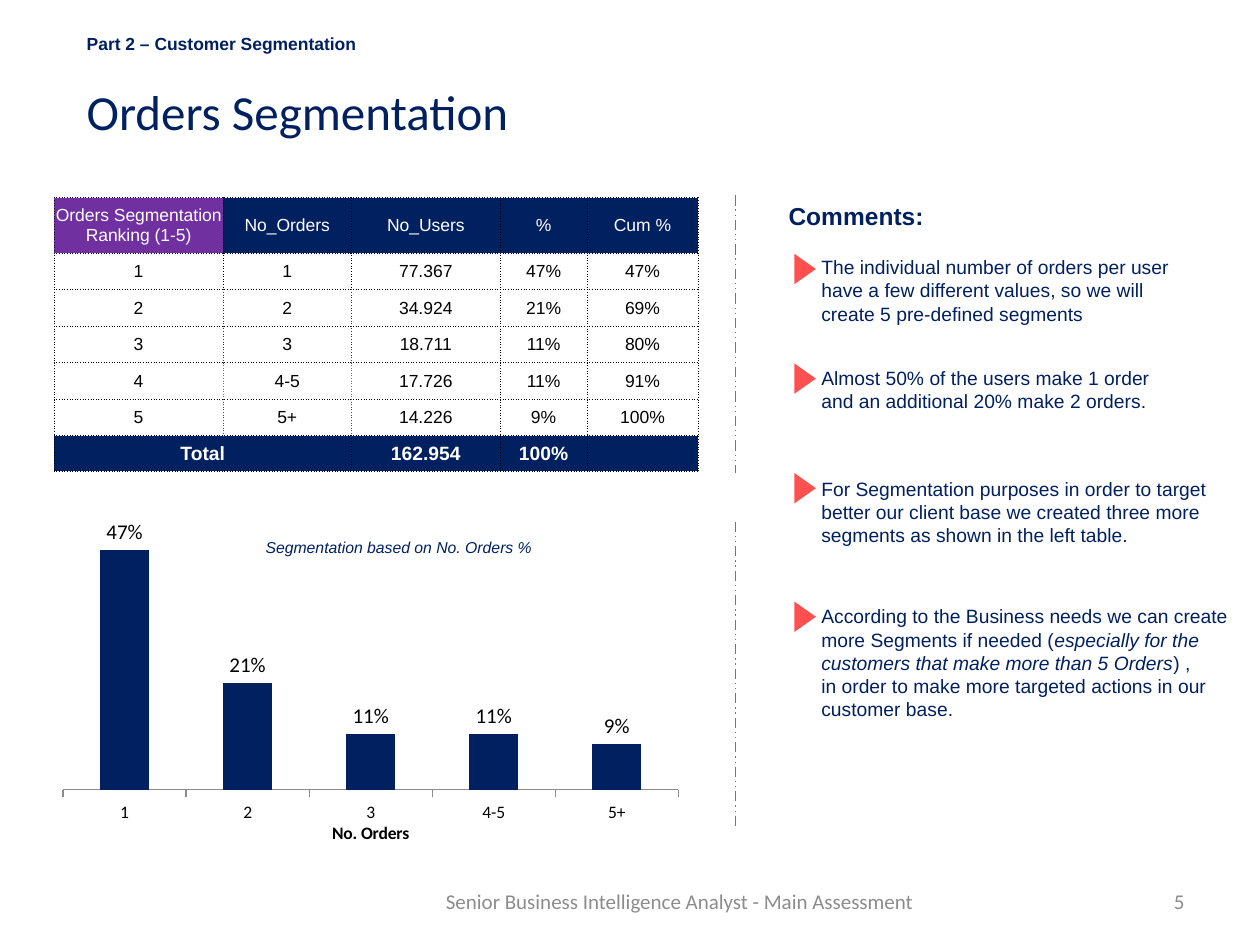
from lxml import etree
from pptx import Presentation
from pptx.chart.data import CategoryChartData
from pptx.dml.color import RGBColor
from pptx.enum.chart import XL_CHART_TYPE, XL_LABEL_POSITION, XL_TICK_LABEL_POSITION, XL_TICK_MARK
from pptx.enum.dml import MSO_LINE
from pptx.enum.shapes import MSO_CONNECTOR, MSO_SHAPE
from pptx.enum.text import MSO_ANCHOR, PP_ALIGN
from pptx.oxml import parse_xml
from pptx.oxml.ns import nsdecls, qn
from pptx.util import Pt

PX = 9144
NAVY = RGBColor(0x00, 0x20, 0x60)
PURPLE = RGBColor(0x70, 0x30, 0xA0)
CORAL = RGBColor(0xFF, 0x50, 0x50)
BLUE = RGBColor(0x4B, 0x7E, 0xBC)
GRAY = RGBColor(0x8C, 0x8C, 0x8C)
BLACK = RGBColor(0x00, 0x00, 0x00)
WHITE = RGBColor(0xFF, 0xFF, 0xFF)


def add_text(left, top, width, height, lines, size, font="Arial", color=NAVY, bold=False,
             italic=None, align=PP_ALIGN.LEFT, anchor=MSO_ANCHOR.TOP, wrap=True):
    box = page.shapes.add_textbox(left * PX, top * PX, width * PX, height * PX)
    frame = box.text_frame
    frame.word_wrap = wrap
    frame.vertical_anchor = anchor
    for index, line in enumerate(lines):
        para = frame.paragraphs[0] if index == 0 else frame.add_paragraph()
        para.alignment = align
        para.font.size = Pt(size)
        para.font.name = font
        para.font.color.rgb = color
        para.font.bold = bold
        para.font.italic = italic
        for number, part in enumerate(line):
            span = para.add_run()
            span.text = part
            if number % 2:
                span.font.italic = True


def add_border(cell, side, color):
    cell._tc.get_or_add_tcPr().append(parse_xml(
        f'<a:{side} {nsdecls("a")} w="6350"><a:solidFill><a:srgbClr val="{color}"/></a:solidFill>'
        f'<a:prstDash val="dot"/></a:{side}>'))


deck = Presentation()
deck.slide_width = 1000 * PX
deck.slide_height = 750 * PX
page = deck.slides.add_slide(deck.slide_layouts[6])

add_text(59, 21, 386, 27, [["Part 2 – Customer Segmentation"]], 10, bold=True)
add_text(59, 60, 827, 57, [["Orders Segmentation"]], 28, font="Calibri")

rows = [
    ["Orders Segmentation Ranking (1-5)", "No_Orders", "No_Users", "%", "Cum %"],
    ["1", "1", "77.367", "47%", "47%"],
    ["2", "2", "34.924", "21%", "69%"],
    ["3", "3", "18.711", "11%", "80%"],
    ["4", "4-5", "17.726", "11%", "91%"],
    ["5", "5+", "14.226", "9%", "100%"],
    ["Total", "", "162.954", "100%", ""],
]
last_row = len(rows) - 1
inner_colors = {2: "20401E", 3: "20421E", 4: "F0471E", 5: "604B1E"}
table = page.shapes.add_table(len(rows), 5, 43 * PX, 157 * PX, 512 * PX, 217 * PX).table
for column, width in zip(table.columns, [134, 102, 118, 69, 88]):
    column.width = width * PX
for row, height in zip(table.rows, [44] + [29] * 5 + [28]):
    row.height = height * PX

for row_index, row in enumerate(rows):
    inner = inner_colors.get(row_index, "000000")
    is_total = row_index == last_row
    is_dark = row_index == 0 or is_total
    for column_index, text in enumerate(row):
        cell = table.cell(row_index, column_index)
        cell.margin_left = cell.margin_right = cell.margin_top = cell.margin_bottom = 0
        cell.vertical_anchor = MSO_ANCHOR.MIDDLE
        add_border(cell, "lnL", inner if column_index in (1, 2) else "000000")
        add_border(cell, "lnR", inner if column_index in (0, 1) else "000000")
        add_border(cell, "lnT", "000000")
        add_border(cell, "lnB", "000000")
        if is_dark:
            cell.fill.solid()
            cell.fill.fore_color.rgb = PURPLE if row_index + column_index == 0 else NAVY
        else:
            cell.fill.background()
        cell.text = text
        para = cell.text_frame.paragraphs[0]
        para.alignment = PP_ALIGN.CENTER
        para.font.name = "Arial"
        para.font.size = Pt(11 if is_total else 10)
        para.font.bold = is_total
        para.font.color.rgb = WHITE if is_dark else BLACK
table.cell(last_row, 0).merge(table.cell(last_row, 1))

chart_data = CategoryChartData(number_format="0%")
chart_data.categories = ["1", "2", "3", "4-5", "5+"]
chart_data.add_series("Series 1", [0.47, 0.21, 0.11, 0.11, 0.09])
chart = page.shapes.add_chart(XL_CHART_TYPE.COLUMN_CLUSTERED, 43 * PX, 391 * PX,
                              504 * PX, 283 * PX, chart_data).chart
chart.has_legend = False
chart.has_title = False
chart.font.name = "Calibri"
chart.font.size = Pt(10)
chart.font.color.rgb = BLACK

orders_axis = chart.category_axis
orders_axis.major_tick_mark = XL_TICK_MARK.OUTSIDE
orders_axis.tick_label_position = XL_TICK_LABEL_POSITION.LOW
orders_axis.format.line.color.rgb = GRAY
orders_axis.has_major_gridlines = False
title_frame = orders_axis.axis_title.text_frame
title_frame.text = "No. Orders"
title_font = title_frame.paragraphs[0].font
title_font.size = Pt(10)
title_font.bold = True

share_axis = chart.value_axis
share_axis.minimum_scale = 0
share_axis.maximum_scale = 0.5
share_axis.has_major_gridlines = False
share_axis.visible = False

plot = chart.plots[0]
plot.gap_width = 150
plot.vary_by_categories = False
bars = plot.series[0].format.fill
bars.solid()
bars.fore_color.rgb = NAVY
plot.has_data_labels = True
labels = plot.data_labels
labels.show_value = True
labels.number_format = "0%"
labels.number_format_is_linked = False
labels.position = XL_LABEL_POSITION.OUTSIDE_END
labels.font.size = Pt(12)

plot_area = chart._chartSpace.chart.plotArea
for old_layout in plot_area.findall(qn("c:layout")):
    plot_area.remove(old_layout)
layout = etree.Element(qn("c:layout"))
manual = etree.SubElement(layout, qn("c:manualLayout"))
for tag, value in [("layoutTarget", "inner"), ("xMode", "edge"), ("yMode", "edge"),
                   ("x", "0.014"), ("y", "0.118"), ("w", "0.969"), ("h", "0.716")]:
    etree.SubElement(manual, qn(f"c:{tag}")).set("val", value)
plot_area.insert(0, layout)

add_text(201, 422, 260, 25, [["Segmentation based on No. Orders %"]], 9, italic=True)

for top, bottom in [(155, 375), (414, 658)]:
    divider = page.shapes.add_connector(MSO_CONNECTOR.STRAIGHT, 584 * PX, top * PX,
                                        584 * PX, bottom * PX)
    divider.line.color.rgb = BLUE
    divider.line.width = Pt(0.75)
    divider.line.dash_style = MSO_LINE.DASH_DOT_DOT
    etree.SubElement(divider._element.spPr, qn("a:effectLst"))

add_text(616, 155, 128, 34, [["Comments:"]], 14, bold=True, wrap=False)
comments = [
    (198, 299, 66, 205, [["The individual number of orders per user have a few different values, "
                          "so we will create 5 pre-defined segments"]]),
    (286, 299, 47, 292, [["Almost 50% of the users make 1 order and an additional 20% make 2 orders."]]),
    (374, 339, 66, 379, [["For Segmentation purposes in order to target better our client base "
                          "we created three more segments as shown in the left table."]]),
    (475, 346, 103, 481, [["According to the Business needs we can create more Segments if needed (",
                           "especially for the customers that make more than 5 Orders", ") ,"],
                          ["in order to make more targeted actions in our customer base."]]),
]
for top, width, height, marker_top, lines in comments:
    add_text(642, top, width, height, lines, 11)
    marker = page.shapes.add_shape(MSO_SHAPE.ISOSCELES_TRIANGLE, 627 * PX, marker_top * PX,
                                   24 * PX, 17 * PX)
    marker.rotation = 90
    marker.shadow.inherit = False
    marker.fill.solid()
    marker.fill.fore_color.rgb = CORAL
    marker.line.fill.background()

add_text(342, 695, 395, 40, [["Senior Business Intelligence Analyst - Main Assessment"]], 12,
         font="Calibri", color=GRAY, align=PP_ALIGN.CENTER, anchor=MSO_ANCHOR.MIDDLE)
add_text(717, 695, 233, 40, [["5"]], 12, font="Calibri", color=GRAY,
         align=PP_ALIGN.RIGHT, anchor=MSO_ANCHOR.MIDDLE)

deck.save("out.pptx")
